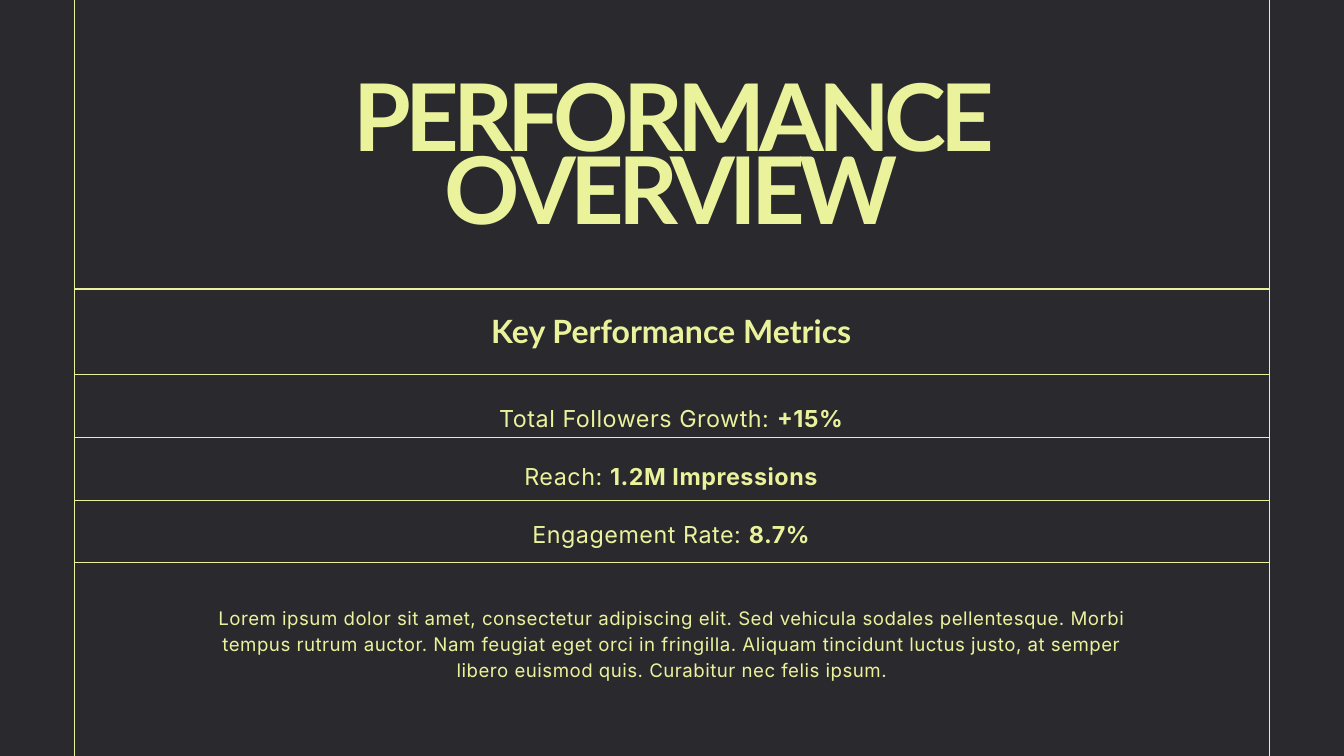
from lxml import etree
from pptx import Presentation, util as u
from pptx.dml.color import RGBColor
from pptx.enum import shapes, text
from pptx.oxml.ns import qn

LIME = RGBColor(0xEB, 0xF2, 0x9C)
CHARCOAL = RGBColor(0x2A, 0x2A, 0x2E)
COLUMNS, ROWS = 20, 11.25
LEFT, RIGHT = 1.11, 18.89


class Deck:
    """Holds the style and current slide, placing elements by grid column and row."""

    def __init__(self):
        self.prs = Presentation()
        self.prs.slide_width = u.Inches(20)
        self.prs.slide_height = u.Inches(11.25)
        self.slide = self.prs.slides.add_slide(self.prs.slide_layouts[6])
        fill = self.slide.background.fill
        fill.solid()
        fill.fore_color.rgb = CHARCOAL

    def x(self, column):
        return round(self.prs.slide_width * column / COLUMNS)

    def y(self, row):
        return round(self.prs.slide_height * row / ROWS)

    def rule(self, x1, y1, x2, y2):
        line = self.slide.shapes.add_connector(
            shapes.MSO_CONNECTOR.STRAIGHT, self.x(x1), self.y(y1), self.x(x2), self.y(y2))
        line.line.color.rgb = LIME
        line.line.width = u.Pt(1.5)
        etree.SubElement(line._element.spPr, qn("a:effectLst"))

    def text(self, box, paragraphs, font, size, leading, bold=False, tracking=0):
        left, top, width, height = box
        sp = self.slide.shapes.add_textbox(
            self.x(left), self.y(top), self.x(width), self.y(height))
        tf = sp.text_frame
        tf.word_wrap = True
        tf.auto_size = text.MSO_AUTO_SIZE.SHAPE_TO_FIT_TEXT
        tf.margin_left = tf.margin_right = tf.margin_top = tf.margin_bottom = 0
        for i, (lead, *strong) in enumerate(paragraphs):
            p = tf.add_paragraph() if i else tf.paragraphs[0]
            p.text = lead
            p.alignment = text.PP_ALIGN.CENTER
            p.line_spacing = u.Pt(leading)
            for part in strong:
                p.add_run().text = part
            for j, r in enumerate(p.runs):
                r.font.name = font
                r.font.size = u.Pt(size)
                r.font.bold = bold or j > 0
                r.font.color.rgb = LIME
                r.font._element.set("spc", str(round(tracking * 100)))


def main():
    deck = Deck()
    for column in (LEFT, RIGHT):
        deck.rule(column, 0, column, ROWS)
    for row in (4.3, 5.57, 6.51, 7.45, 8.37):
        deck.rule(LEFT, row, RIGHT, row)

    deck.text((3.65, 1.43, 12.67, 2.45), [("PERFORMANCE OVERVIEW",)],
              "Lato", 100, 79, bold=True, tracking=-6.3)
    deck.text((6.35, 4.54, 7.28, 0.68), [("Key Performance Metrics",)],
              "Lato", 34.3, 48, bold=True)
    metrics = [
        ("Total Followers Growth: ", "+15%"),
        ("Reach: ", "1.2M Impressions"),
        ("Engagement Rate: ", "8.7%"),
    ]
    deck.text((7.16, 5.57, 5.65, 2.45), metrics, "Inter", 25, 62.2, tracking=0.6)
    summary = (
        "Lorem ipsum dolor sit amet, consectetur adipiscing elit. Sed vehicula sodales "
        "pellentesque. Morbi tempus rutrum auctor. Nam feugiat eget orci in fringilla. "
        "Aliquam tincidunt luctus justo, at semper libero euismod quis. "
        "Curabitur nec felis ipsum."
    )
    deck.text((2.98, 8.97, 14.04, 1.15), [(summary,)], "Inter", 20, 28, tracking=0.5)
    deck.prs.save("out.pptx")


if __name__ == "__main__":
    main()
